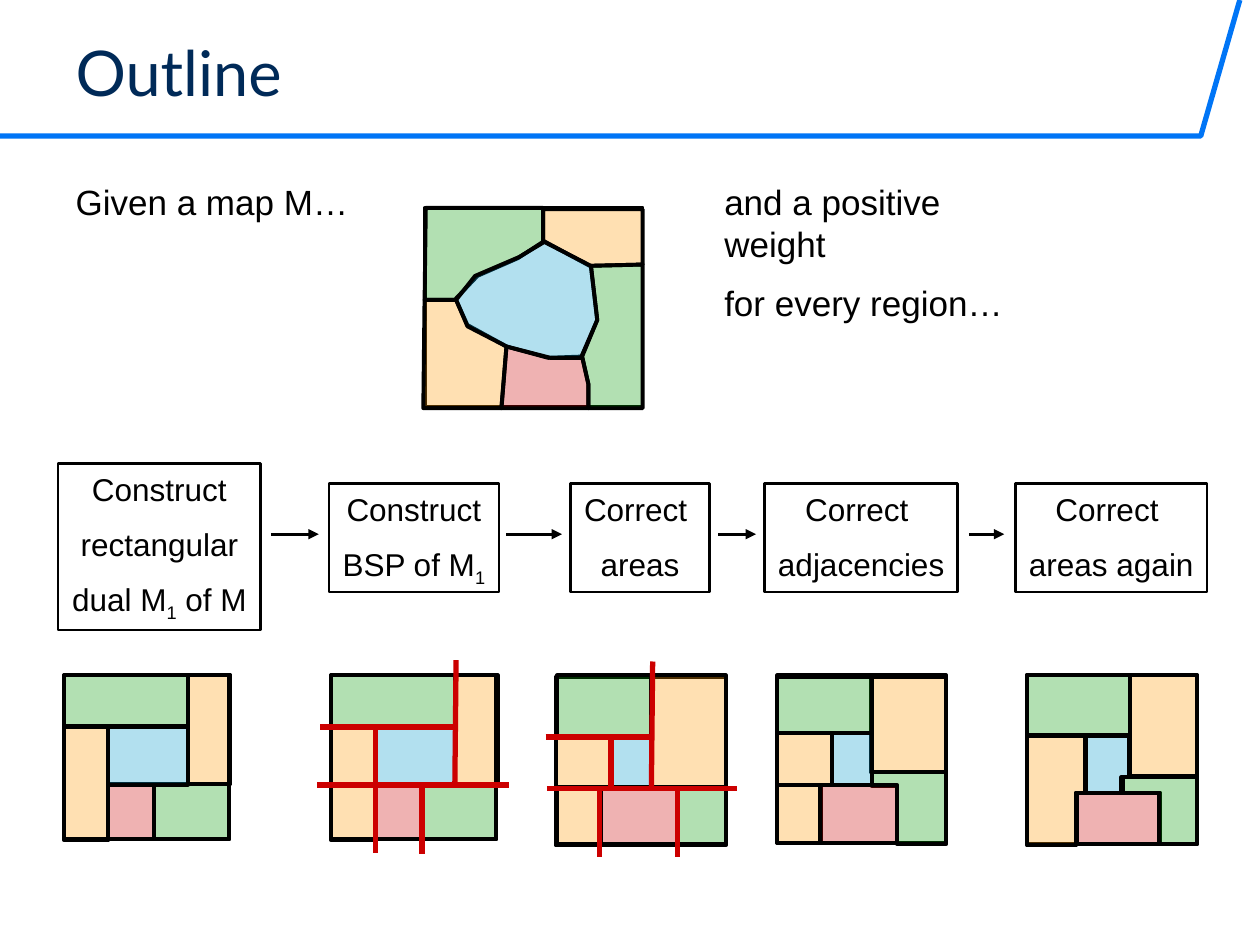
from lxml.etree import SubElement
from pptx import Presentation
from pptx.dml.color import RGBColor
from pptx.enum.shapes import MSO_CONNECTOR, MSO_SHAPE
from pptx.enum.text import MSO_ANCHOR, MSO_AUTO_SIZE, PP_ALIGN
from pptx.oxml.ns import qn
from pptx.util import Cm, Pt

BLACK, WHITE, NAVY, BLUE, RED = "000000", "FFFFFF", "002A58", "0075F6", "CC0000"
GREEN, ORANGE, ROSE, SKY = "009900", "FF9900", "CC0000", "0099CC"

# Lengths are in inches; a region is a rectangle (left, top, width, height)
# or a list of corner points.
INPUT_MAP = [
    (None, (3.37, 1.65, 1.73, 1.58)),
    (GREEN, [(3.38, 1.65), (4.31, 1.65), (4.31, 1.92), (4.11, 2.05), (3.79, 2.19),
             (3.61, 2.38), (3.37, 2.38)]),
    (ORANGE, [(4.31, 1.66), (5.1, 1.66), (5.1, 2.1), (4.68, 2.11), (4.31, 1.91)]),
    (GREEN, [(5.1, 2.1), (5.1, 3.24), (4.67, 3.24), (4.67, 3.05), (4.62, 2.83),
             (4.74, 2.54), (4.69, 2.11)]),
    (ORANGE, [(3.37, 2.38), (3.62, 2.38), (3.71, 2.58), (4.02, 2.75), (3.98, 3.24),
              (3.36, 3.24)]),
    (ROSE, [(4.02, 2.75), (4.35, 2.84), (4.62, 2.83), (4.67, 3.05), (4.67, 3.24),
            (3.98, 3.24)]),
    (SKY, [(3.62, 2.38), (3.77, 2.19), (4.12, 2.04), (4.32, 1.92), (4.69, 2.11),
           (4.74, 2.54), (4.61, 2.84), (4.37, 2.84), (4.02, 2.75), (3.71, 2.59)]),
]
DUAL_MAP = [
    (GREEN, (1.22, 6.22, 0.6, 0.44)), (GREEN, (0.51, 5.36, 0.98, 0.4)),
    (ORANGE, (1.49, 5.36, 0.34, 0.86)), (ROSE, (0.86, 6.22, 0.36, 0.44)),
    (ORANGE, (0.51, 5.77, 0.35, 0.9)), (SKY, (0.86, 5.77, 0.63, 0.46)),
    (None, (0.51, 5.36, 1.31, 1.3)),
]
AREAS_MAP = [
    (None, (4.41, 5.37, 1.35, 1.34)), (GREEN, (4.42, 5.36, 0.75, 0.48)),
    (ORANGE, (5.17, 5.36, 0.59, 0.89)), (ROSE, (4.76, 6.25, 0.62, 0.45)),
    (GREEN, (5.38, 6.25, 0.38, 0.45)), (SKY, (4.85, 5.85, 0.32, 0.4)),
    (ORANGE, (4.42, 6.25, 0.35, 0.45)), (ORANGE, (4.41, 5.85, 0.43, 0.4)),
]
ADJACENCY_MAP = [
    (None, (6.17, 5.36, 1.34, 1.33)), (ORANGE, (6.91, 5.37, 0.6, 0.76)),
    (SKY, (6.6, 5.82, 0.32, 0.41)), (ORANGE, (6.17, 6.23, 0.35, 0.46)),
    (ORANGE, (6.17, 5.82, 0.43, 0.41)),
    (GREEN, [(7.51, 6.7), (7.51, 6.13), (6.92, 6.13), (6.92, 6.24), (7.12, 6.24),
             (7.12, 6.7)]),
    (GREEN, (6.17, 5.37, 0.75, 0.45)), (ROSE, (6.51, 6.23, 0.61, 0.46)),
]
FINAL_MAP = [
    (None, (8.15, 5.36, 1.35, 1.34)), (GREEN, (8.15, 5.36, 0.82, 0.47)),
    (ORANGE, (8.97, 5.36, 0.53, 0.8)), (ROSE, (8.55, 6.29, 0.66, 0.41)),
    (GREEN, [(9.5, 6.7), (9.5, 6.17), (8.91, 6.17), (8.91, 6.29), (9.2, 6.29),
             (9.2, 6.7)]),
    (SKY, [(8.62, 5.84), (8.96, 5.84), (8.96, 6.17), (8.9, 6.17), (8.9, 6.29),
           (8.62, 6.29)]),
    (ORANGE, [(8.15, 5.84), (8.61, 5.84), (8.61, 6.29), (8.54, 6.29), (8.54, 6.71),
              (8.15, 6.71)]),
]
BSP_SHIFT = 2.12
# Each map: regions, shift to the right
MAPS = [(INPUT_MAP, 0), (DUAL_MAP, 0), (DUAL_MAP, BSP_SHIFT), (AREAS_MAP, 0),
        (ADJACENCY_MAP, 0), (FINAL_MAP, 0)]
# Each group of cuts: (x1, y1, x2, y2)
CUTS = [
    [(2.52, 6.23, 4.04, 6.23), (3.62, 5.24, 3.61, 6.23), (2.98, 6.23, 2.98, 6.77),
     (3.35, 6.24, 3.35, 6.78), (2.54, 5.77, 3.62, 5.77), (2.98, 5.76, 2.98, 6.25)],
    [(5.18, 5.25, 5.17, 6.26), (4.33, 5.85, 5.17, 5.85), (4.85, 5.86, 4.85, 6.24),
     (4.34, 6.26, 5.85, 6.26), (4.76, 6.26, 4.76, 6.8), (5.38, 6.25, 5.38, 6.8)],
]
# A line is a list of runs; a run starting with "_" is a subscript.
STEPS = [
    ((0.46, 3.68, 1.61, 1.32), [["Construct"], ["rectangular"], ["dual M", "_1", " of M"]]),
    ((2.61, 3.84, 1.35, 0.86), [["Construct"], ["BSP of M", "_1"]]),
    ((4.53, 3.84, 1.1, 0.86), [["Correct "], ["areas"]]),
    ((6.07, 3.84, 1.53, 0.86), [["Correct "], ["adjacencies"]]),
    ((8.06, 3.84, 1.52, 0.86), [["Correct "], ["areas again"]]),
]
ARROW_Y = 4.24
ARROWS = [(2.15, 2.53), (4.02, 4.46), (5.7, 6), (7.69, 7.97)]
WEIGHTS = [["and a positive weight"], ["for every region…"]]
RULE = [(0, 1.08), (9.53, 1.08), (9.84, 0)]


def inch(*values):
    return [Cm(value * 2.54) for value in values]


def paint(target, color, alpha=None):
    """Give a fill or a line one colour, with an opacity in percent."""
    fill = getattr(target, "fill", target)
    fill.solid()
    fill.fore_color.rgb = RGBColor.from_string(color)
    if alpha:
        SubElement(fill.fore_color._xFill[0], qn("a:alpha"), val=str(alpha * 1000))


def style(shape, fill, line, width, alpha=None):
    shape.shadow.inherit = False
    if fill:
        paint(shape.fill, fill, alpha)
    else:
        shape.fill.background()
    paint(shape.line, line)
    shape.line.width = Pt(width)


def add_path(shapes, points, close=True):
    corners = [tuple(inch(*point)) for point in points]
    builder = shapes.build_freeform(*corners[0], scale=1.0)
    builder.add_line_segments(corners[1:], close=close)
    return builder.convert_to_shape()


def add_map(slide, regions, shift):
    group = slide.shapes.add_group_shape()
    for color, outline in regions:
        if isinstance(outline, list):
            region = add_path(group.shapes, [(x + shift, y) for x, y in outline])
        else:
            left, *rest = outline
            region = group.shapes.add_shape(MSO_SHAPE.RECTANGLE, *inch(left + shift, *rest))
        style(region, color, BLACK, 2.25, 30)


def add_line(shapes, ends, color, width, arrow=False):
    line = shapes.add_connector(MSO_CONNECTOR.STRAIGHT, *inch(*ends))
    paint(line.line, color)
    line.line.width = Pt(width)
    if arrow:
        SubElement(line.line._get_or_add_ln(), qn("a:tailEnd"), type="triangle")
    SubElement(line._element.spPr, qn("a:effectLst"))


def write(shape, lines, size, font="Arial", color=BLACK, align=PP_ALIGN.LEFT,
          anchor=MSO_ANCHOR.TOP, wrap=True):
    frame = shape.text_frame
    frame.auto_size = MSO_AUTO_SIZE.NONE
    frame.word_wrap = wrap
    frame.vertical_anchor = anchor
    for i, runs in enumerate(lines):
        para = frame.add_paragraph() if i else frame.paragraphs[0]
        para.alignment = align
        para.space_before = Pt(10 if i else 0)
        for text in runs:
            span = para.add_run()
            span.text = text.lstrip("_")
            span.font.size = Pt(size)
            span.font.name = font
            paint(span.font, color)
            if text.startswith("_"):
                span.font._element.set("baseline", "-25000")


def place(shape, *box):
    shape.left, shape.top, shape.width, shape.height = inch(*box)


deck = Presentation()
deck.slide_width, deck.slide_height = inch(10, 7.5)
page = deck.slides.add_slide(deck.slide_layouts[1])
style(add_path(page.shapes, RULE, close=False), None, BLUE, 3)

title, body = page.placeholders
place(title, 0.5, 0.21, 9.28, 0.71)
write(title, [["Outline"]], 36, "Lato", NAVY, anchor=MSO_ANCHOR.BOTTOM)
place(body, 0.5, 1.38, 9, 0.49)
write(body, [["Given a map M…"]], 20)
bullet = body.text_frame.paragraphs[0]._p.get_or_add_pPr()
bullet.set("marL", "0")
bullet.set("indent", "0")
SubElement(bullet, qn("a:buNone"))

for box, lines in STEPS:
    step = page.shapes.add_shape(MSO_SHAPE.RECTANGLE, *inch(*box))
    style(step, WHITE, BLACK, 1.5, 50)
    write(step, lines, 18, align=PP_ALIGN.CENTER, wrap=False)
for start, end in ARROWS:
    add_line(page.shapes, (start, ARROW_Y, end, ARROW_Y), BLACK, 1.5, arrow=True)
for regions, shift in MAPS:
    add_map(page, regions, shift)
for cuts in CUTS:
    group = page.shapes.add_group_shape()
    for cut in cuts:
        add_line(group.shapes, cut, RED, 3)
write(page.shapes.add_textbox(*inch(5.65, 1.38, 2.6, 0.77)), WEIGHTS, 20)

deck.save("out.pptx")
